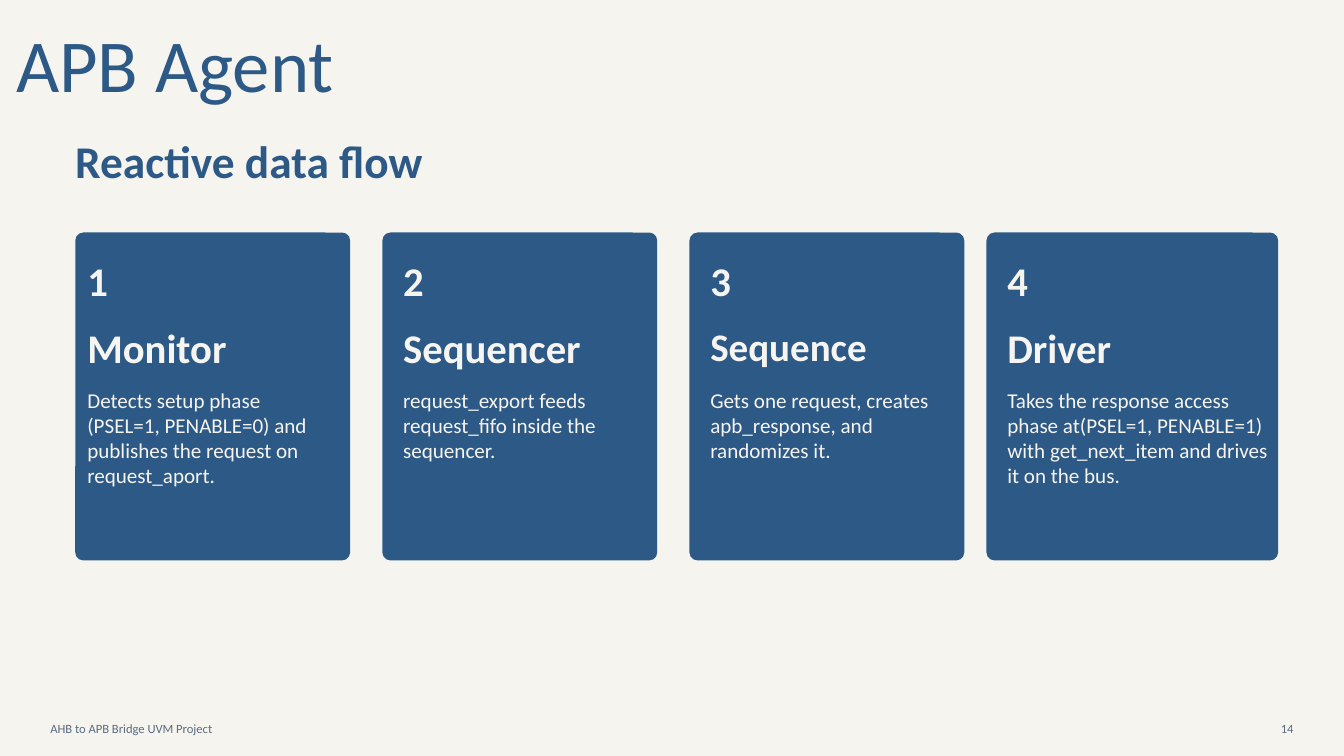
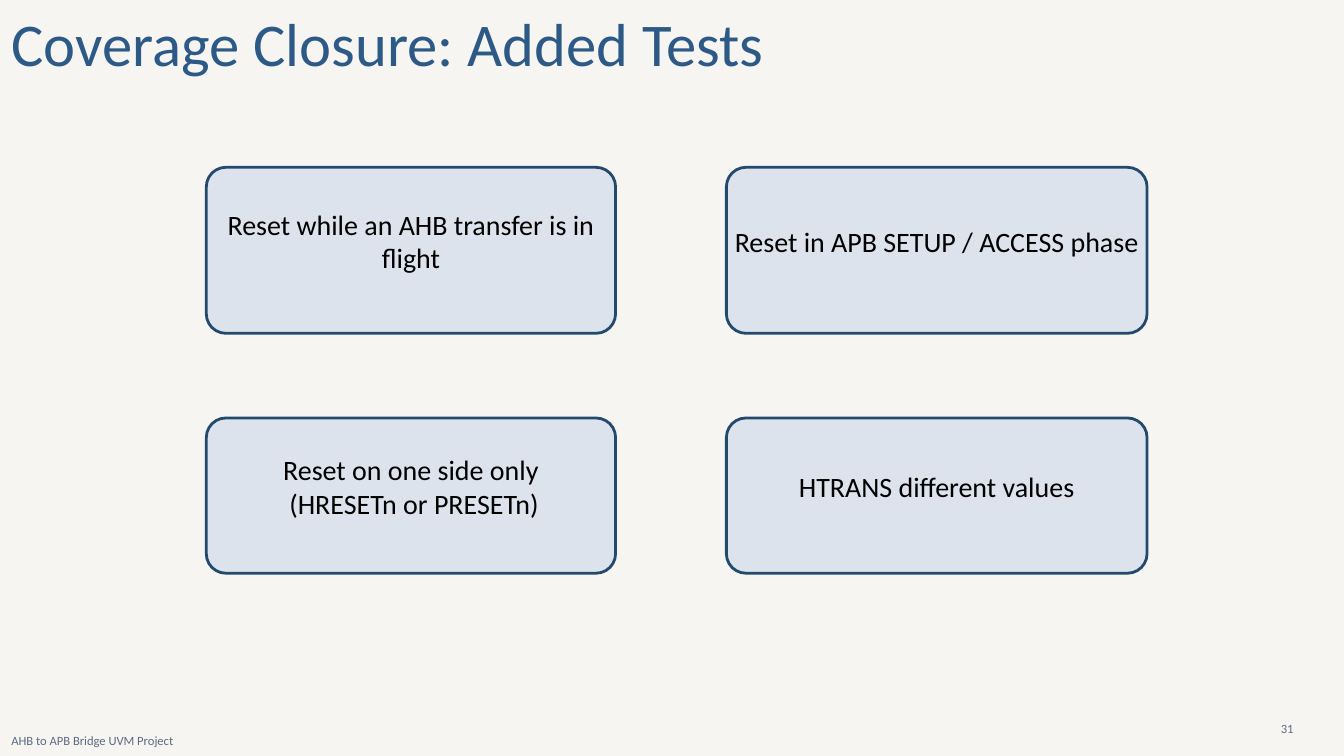
from pptx import Presentation
from pptx.dml.color import RGBColor
from pptx.enum.shapes import MSO_SHAPE
from pptx.enum.text import MSO_ANCHOR, PP_ALIGN
from pptx.util import Inches, Pt

ROUND = MSO_SHAPE.ROUNDED_RECTANGLE
TOP, MIDDLE = MSO_ANCHOR.TOP, MSO_ANCHOR.MIDDLE
LEFT, CENTER, RIGHT = PP_ALIGN.LEFT, PP_ALIGN.CENTER, PP_ALIGN.RIGHT

CREAM = RGBColor(0xF6, 0xF4, 0xEE)
PAPER = RGBColor(0xF7, 0xF5, 0xF1)
BLUE = RGBColor(0x2D, 0x59, 0x86)
NAVY = RGBColor(0x23, 0x49, 0x6D)
PALE = RGBColor(0xDC, 0xE3, 0xEC)
GRAY = RGBColor(0x5B, 0x6B, 0x82)
BLACK = RGBColor(0, 0, 0)

FONT = "Calibri"
PROJECT = "AHB to APB Bridge UVM Project"
STEPS = [
    ("Monitor", "Detects setup phase (PSEL=1, PENABLE=0) and publishes the request on request_aport."),
    ("Sequencer", "request_export feeds request_fifo inside the sequencer."),
    ("Sequence", "Gets one request, creates apb_response, and randomizes it."),
    ("Driver", "Takes the response access phase at(PSEL=1, PENABLE=1) with get_next_item and drives it on the bus."),
]
TESTS = [
    ["Reset while an AHB transfer is in flight", "Reset in APB SETUP / ACCESS phase"],
    ["Reset on one side only\n (HRESETn or PRESETn)", "HTRANS different values"],
]


def write(frame, text, size=22.6, color=CREAM, bold=False, align=LEFT,
          anchor=TOP, lead=1.2, foot=0):
    """Fill a text frame with formatted paragraphs."""
    frame.word_wrap = True
    frame.vertical_anchor = anchor
    frame.margin_left = frame.margin_right = frame.margin_top = 0
    frame.margin_bottom = Inches(foot)
    frame.text = text
    for para in frame.paragraphs:
        para.alignment = align
        para.line_spacing = Pt(round(size * lead, 1))
        para.space_before = Pt(0)
        font = para.font
        font.name, font.size, font.bold = FONT, Pt(size), bold
        font.color.rgb = color


class Deck:
    """Hold the deck style and the current slide."""

    def __init__(self):
        """Start an empty wide deck."""
        self.show = Presentation()
        self.show.slide_width = Inches(20)
        self.show.slide_height = Inches(11.25)
        self.slide = None

    def page(self, back):
        """Add a slide with a plain background."""
        self.slide = self.show.slides.add_slide(self.show.slide_layouts[5])
        fill = self.slide.background.fill
        fill.solid()
        fill.fore_color.rgb = back

    def title(self, text, box, size):
        """Place and format the title."""
        head = self.slide.shapes.title
        head.left, head.top, head.width, head.height = map(Inches, box)
        write(head.text_frame, text, size=size, color=BLUE, lead=1.4)

    def text(self, text, box, **style):
        """Add a text box."""
        shape = self.slide.shapes.add_textbox(*map(Inches, box))
        write(shape.text_frame, text, **style)

    def card(self, box, curve, fill, line=None):
        """Add a rounded card with a given corner radius."""
        shape = self.slide.shapes.add_shape(ROUND, *map(Inches, box))
        shape.adjustments[0] = curve / min(box[2:])
        shape.shadow.inherit = False
        shape.fill.solid()
        shape.fill.fore_color.rgb = fill
        if line is None:
            shape.line.fill.background()
        else:
            shape.line.color.rgb = line
            shape.line.width = Pt(3)
        return shape

    def footer(self, number, left=0.75, top=10.6):
        """Add the project name and the page number."""
        style = {"size": 13.5, "color": GRAY, "anchor": MIDDLE}
        self.text(PROJECT, (left, top, 12, 0.47), **style)
        self.text(str(number), (18.5, 10.6, 0.75, 0.47), align=RIGHT, **style)


def agent(deck):
    """Build the slide with the four agent steps."""
    deck.page(CREAM)
    deck.title("APB Agent", (0.24, 0.04, 13.03, 1.5), 80)
    deck.text("Reactive data flow", (1.12, 1.98, 6.44, 0.92),
              size=48.6, color=BLUE, bold=True)
    pads = (0.18, 0.31, 0.31, 0.31)
    for num, ((name, note), pad) in enumerate(zip(STEPS, pads)):
        last = num == len(STEPS) - 1
        left = 14.68 if last else 1.12 + 4.57 * num
        width = 4.34 if last else 4.09
        size = 41.8 if name == "Sequence" else 43.6
        deck.card((left, 3.46, width, 4.88), 0.12, BLUE)
        edge = left + pad
        deck.text(str(num + 1), (edge, 3.81, 2.27, 0.82), size=43.6, bold=True)
        deck.text(name, (edge, 4.8, 3.33, 0.82), size=size, color=PAPER, bold=True)
        deck.text(note, (edge, 5.76, 3.88 if last else 3.47, 1.94))
    deck.footer(14)


def tests(deck):
    """Build the slide with the added tests."""
    deck.page(PAPER)
    deck.title("Coverage Closure: Added Tests", (0.17, -0.1, 14.58, 1.23), 65)
    cols = ((3.07, 6.09), (10.81, 6.26))
    rows = ((2.49, 2.47), (6.22, 2.31))
    for names, (top, height) in zip(TESTS, rows):
        for name, (left, width) in zip(names, cols):
            card = deck.card((left, top, width, height), 0.29, PALE, NAVY)
            write(card.text_frame, name, size=30, color=BLACK,
                  align=CENTER, anchor=MIDDLE, foot=0.28)
    deck.footer(31, left=0.17, top=10.79)


def main():
    """Build and save the deck."""
    deck = Deck()
    agent(deck)
    tests(deck)
    deck.show.save("out.pptx")


if __name__ == "__main__":
    main()
